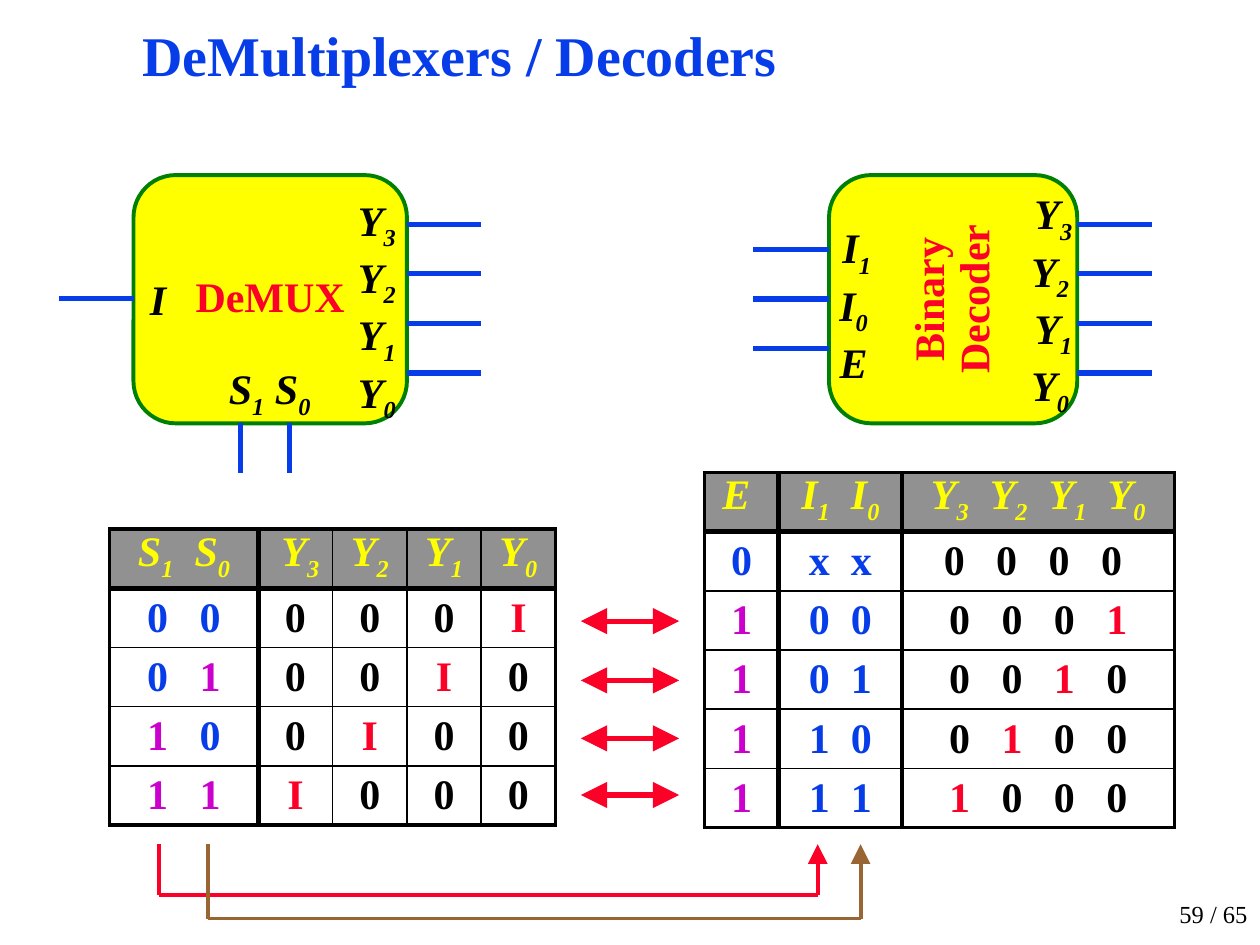
from dataclasses import dataclass, field
from itertools import groupby

import pptx
import pptx.dml.color
import pptx.enum.shapes
import pptx.enum.text
import pptx.oxml.ns
import pptx.oxml.xmlchemy
import pptx.util
from pptx.util import Inches

ALIGN = pptx.enum.text.PP_ALIGN
ANCHOR = pptx.enum.text.MSO_ANCHOR
SHAPE = pptx.enum.shapes.MSO_SHAPE
INKS = {"k": "000000", "b": "063DE8", "r": "FC0128", "p": "CC00CC", "y": "FFFF00"}
BLUE, RED, BROWN = INKS["b"], INKS["r"], "996633"
BASE = {"name": "Times New Roman", "size": pptx.util.Pt(24), "bold": True, "italic": False}
SLANT = {**BASE, "italic": True}
UNIT = 1.18 / 3
SUB = "-25000"


@dataclass
class Label:
    text: str
    left: float
    top: float
    wide: float
    high: float
    align: ALIGN = ALIGN.CENTER
    inset: tuple = (0, 0)
    look: dict = field(default_factory=lambda: SLANT)
    space: float = 1.0
    anchor: ANCHOR = ANCHOR.TOP


@dataclass
class Wire:
    x1: float
    y1: float
    x2: float
    y2: float
    ink: str = BLUE
    width: float = 3
    ends: tuple = ()


@dataclass
class Grid:
    left: float
    top: float
    cols: list
    row: float
    heavy: int
    gaps: list
    rows: list


def rgb(code: str) -> pptx.dml.color.RGBColor:
    return pptx.dml.color.RGBColor.from_string(code)


def scan(text: str):
    """Read markup: #x picks an ink, _x is a subscript, ~ is a wide space."""
    ink, chars = "", iter(text)
    for char in chars:
        if char == "#":
            ink = next(chars)
        elif char == "_":
            yield next(chars), ink, True, False
        else:
            yield char.replace("~", " "), ink, False, char == "~"


def write(frame, text: str, look: dict, ink: str, align=ALIGN.CENTER, space=1.0, gap=0) -> None:
    for num, line in enumerate(text.split("\n")):
        para = frame.add_paragraph() if num else frame.paragraphs[0]
        para.alignment, para.line_spacing = align, space
        for turn, part in enumerate(line.split("\v")):
            if turn:
                para.add_line_break()
            for (tint, low, wide), chars in groupby(scan(part), key=lambda c: c[1:]):
                run = para.add_run()
                run.text = "".join(c[0] for c in chars)
                for name, value in look.items():
                    setattr(run.font, name, value)
                run.font.color.rgb = rgb(INKS[tint or ink])
                if low:
                    run.font._element.set("baseline", SUB)
                if wide:
                    run.font._element.set("spc", str(gap * 100))


def pad(item, side: float = 0, edge: float = 0) -> None:
    for name in ("left", "right"):
        setattr(item, f"margin_{name}", Inches(side))
    for name in ("top", "bottom"):
        setattr(item, f"margin_{name}", Inches(edge))


def draw_label(slide, label: Label, ink: str = "k") -> None:
    box = slide.shapes.add_textbox(*map(Inches, (label.left, label.top, label.wide, label.high)))
    frame = box.text_frame
    frame.word_wrap, frame.vertical_anchor = True, label.anchor
    pad(frame, *label.inset)
    write(frame, label.text, label.look, ink, label.align, label.space)


def draw_block(slide, left: float, wide: float, text: str, turn: str = "horz") -> None:
    block = slide.shapes.add_shape(
        SHAPE.ROUNDED_RECTANGLE, *map(Inches, (left, 1.39, wide, 1.97)))
    block.shadow.inherit = False
    block.adjustments[0] = 0.17
    block.fill.solid()
    block.fill.fore_color.rgb = rgb(INKS["y"])
    block.line.color.rgb = rgb("008000")
    block.line.width = pptx.util.Pt(2.25)
    frame = block.text_frame
    frame.word_wrap, frame.vertical_anchor = False, ANCHOR.MIDDLE
    frame._txBody.bodyPr.set("vert", turn)
    pad(frame)
    write(frame, text, BASE, "r", space=0.9)


def draw_wire(slide, wire: Wire) -> None:
    line = slide.shapes.add_connector(
        pptx.enum.shapes.MSO_CONNECTOR.STRAIGHT,
        *map(Inches, (wire.x1, wire.y1, wire.x2, wire.y2)))
    line.line.color.rgb = rgb(wire.ink)
    line.line.width = pptx.util.Pt(wire.width)
    for end in wire.ends:
        tip = pptx.oxml.xmlchemy.OxmlElement(f"a:{end}")
        for name, value in {"type": "triangle", "w": "lg", "len": "lg"}.items():
            tip.set(name, value)
        line.line._get_or_add_ln().append(tip)
    line._element.spPr.append(pptx.oxml.xmlchemy.OxmlElement("a:effectLst"))


def edge(cell, widths: dict) -> None:
    """Put black borders of the given point widths on a cell."""
    props = cell._tc.get_or_add_tcPr()
    for num, (side, width) in enumerate(widths.items()):
        line = pptx.oxml.xmlchemy.OxmlElement(f"a:ln{side}")
        line.set("w", str(int(pptx.util.Pt(width))))
        fill = pptx.oxml.xmlchemy.OxmlElement("a:solidFill")
        tint = pptx.oxml.xmlchemy.OxmlElement("a:srgbClr")
        tint.set("val", INKS["k"])
        fill.append(tint)
        line.append(fill)
        props.insert(num, line)


def draw_grid(slide, grid: Grid) -> None:
    rows, cols = len(grid.rows), len(grid.cols)
    size = (grid.left, grid.top, sum(grid.cols), grid.row * rows)
    table = slide.shapes.add_table(rows, cols, *map(Inches, size)).table
    table.first_row = table.horz_banding = False
    for col, wide in zip(table.columns, grid.cols):
        col.width = Inches(wide)

    def rule(spot: int, last: int, heavy: int) -> float:
        return 2.25 if spot in (0, last) else 3 if spot <= heavy else 1

    for r, texts in enumerate(grid.rows):
        table.rows[r].height = Inches(grid.row)
        for c, text in enumerate(texts):
            cell = table.cell(r, c)
            pad(cell)
            if r:
                cell.fill.background()
                cell.vertical_anchor = ANCHOR.MIDDLE
                write(cell.text_frame, text, BASE, "k", gap=grid.gaps[c])
            else:
                cell.fill.solid()
                cell.fill.fore_color.rgb = rgb("919191")
                write(cell.text_frame, text, SLANT, "y", gap=6)
            edge(cell, {"L": rule(c, cols, grid.heavy), "R": rule(c + 1, cols, grid.heavy),
                        "T": rule(r, rows, 1), "B": rule(r + 1, rows, 1)})


def main() -> None:
    deck = pptx.Presentation()
    deck.slide_width, deck.slide_height = Inches(10), Inches(7.5)
    slide = deck.slides.add_slide(deck.slide_layouts[6])

    draw_label(slide, Label("59 / 65", 8.69, 7.1, 1.31, 0.32, ALIGN.RIGHT, (0.1, 0.05),
                            {**BASE, "size": pptx.util.Pt(14), "bold": False},
                            anchor=ANCHOR.BOTTOM))
    draw_label(slide, Label("DeMultiplexers / Decoders", 1.06, 0.21, 8.66, 0.52, ALIGN.LEFT,
                            (0.07, 0.03), {**BASE, "size": pptx.util.Pt(32)}, 0.87), "b")

    draw_block(slide, 6.58, 1.97, "Binary\vDecoder", "vert270")
    draw_block(slide, 1.06, 2.17, "DeMUX")
    pins = [Wire(x, 1.78 + UNIT * n, x + 0.59, 1.78 + UNIT * n)
            for x in (3.23, 8.55) for n in range(4)]
    pins += [Wire(5.98, 1.98 + UNIT * n, 6.58, 1.98 + UNIT * n) for n in range(3)]
    pins += [Wire(x, 3.75, x, 3.36) for x in (1.91, 2.3)]
    pins.append(Wire(0.47, 2.37, 1.06, 2.37))
    for pin in pins:
        draw_wire(slide, pin)
    for label in (
        Label("_ I_1\nI_0\nE", 6.58, 1.76, 0.39, 1.2),
        Label("_ Y_3\nY_2\n_ Y_1\nY_0", 8.14, 1.49, 0.39, 1.6),
        Label("I", 1.06, 2.17, 0.39, 0.4),
        Label("Y_3\nY_2\nY_1\nY_0", 2.84, 1.54, 0.39, 1.6, ALIGN.LEFT),
        Label("S_1 S_0", 1.65, 2.88, 0.98, 0.4),
    ):
        draw_label(slide, label)

    draw_grid(slide, Grid(5.59, 3.75, [0.59, 0.98, 2.16], 0.47, 2, [0, 6, 12], [
        ["E ", "I_1~I_0", "Y_3~Y_2~Y_1~Y_0"],
        ["#b0", "#bx~x", "0~0~0~0 "],
        ["#p1", "#b0~0", "0~0~0~#r1"],
        ["#p1", "#b0~1", "0~0~#r1~#k0"],
        ["#p1", "#b1~0", "0~#r1~#k0~0"],
        ["#p1", "#b1~1", "#r1~#k0~0~0"],
    ]))
    draw_grid(slide, Grid(0.87, 4.2, [1.18] + [0.59] * 4, 0.47, 1, [12] + [0] * 4, [
        ["S_1~S_0", " Y_3", "Y_2", "Y_1", "Y_0"],
        ["#b0~0", "0", "0", "0", "#rI"],
        ["#b0~#p1", "0", "0", "#rI", "0"],
        ["#p1~#b0", "0", "#rI", "0", "0"],
        ["#p1~1", "#rI", "0", "0", "0"],
    ]))

    for y in (4.93, 5.4, 5.86, 6.31):
        draw_wire(slide, Wire(4.61, y, 5.39, y, RED, 3, ("headEnd", "tailEnd")))
    for x1, x2, low, ink in ((1.26, 6.49, 7.1, RED), (1.65, 6.83, 7.29, BROWN)):
        draw_wire(slide, Wire(x1, 6.7, x1, low, ink, 2.25))
        draw_wire(slide, Wire(x1, low, x2, low, ink, 2.25))
        draw_wire(slide, Wire(x2, low, x2, 6.7, ink, 2.25, ("tailEnd",)))
    deck.save("out.pptx")


if __name__ == "__main__":
    main()
